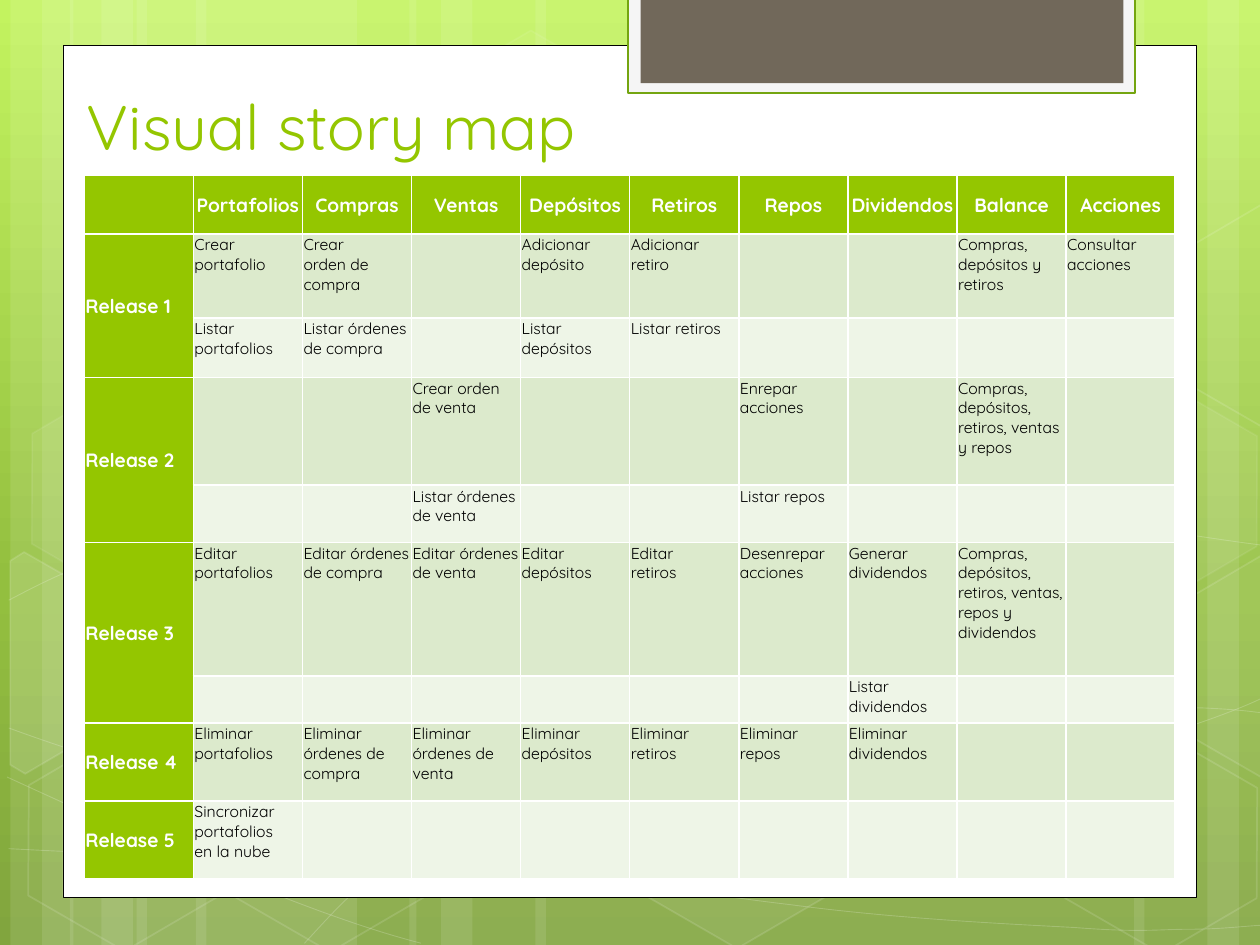
from math import cos, radians, sin

from lxml.etree import SubElement
from pptx import Presentation
from pptx.dml.color import RGBColor
from pptx.enum.shapes import MSO_SHAPE as SHAPE
from pptx.enum.text import MSO_ANCHOR as ANCHOR, PP_ALIGN as ALIGN
from pptx.oxml.ns import qn
from pptx.util import Pt

GREEN, WHITE, BLACK = "94C600", "FFFFFF", "000000"
BANDS = ("DCEACC", "EEF5E7")
TILT = 30


def rgb(value):
    return RGBColor.from_string(value)


def turn_back(point, center):
    """Undo the tilt of a point around a center."""
    dx, dy = point[0] - center[0], point[1] - center[1]
    c, s = cos(radians(TILT)), sin(radians(TILT))
    return center[0] + dx * c + dy * s, center[1] - dx * s + dy * c


class Deck:
    """Holds the style and the current slide."""
    font = "Quicksand"

    def __init__(self, width, height):
        self.prs = Presentation()
        self.prs.slide_width, self.prs.slide_height = Pt(width), Pt(height)
        self.s = self.prs.slides.add_slide(self.prs.slide_layouts[6])

    def background(self, stops):
        fill = self.s.background.fill
        fill.gradient()
        fill.gradient_angle = 270
        gs_list = next(self.s._element.iter(qn("a:gsLst")))
        for gs in list(gs_list):
            gs_list.remove(gs)
        for pos, color in stops:
            gs = SubElement(gs_list, qn("a:gs"), pos=str(pos * 1000))
            SubElement(gs, qn("a:srgbClr"), val=color)

    def style(self, sp, fill=None, fill_alpha=100, line=None, width=1, line_alpha=100):
        sp.shadow.inherit = False
        if fill:
            sp.fill.solid()
            sp.fill.fore_color.rgb = rgb(fill)
        else:
            sp.fill.background()
        if line:
            sp.line.color.rgb = rgb(line)
            sp.line.width = Pt(width)
        else:
            sp.line.fill.background()
        for where, alpha in (("./a:solidFill", fill_alpha), ("./a:ln/a:solidFill", line_alpha)):
            for color in sp._element.spPr.xpath(where + "/a:srgbClr"):
                if alpha < 100:
                    SubElement(color, qn("a:alpha"), val=str(alpha * 1000))

    def shape(self, kind, x, y, w, h, rotation=0, **look):
        sp = self.s.shapes.add_shape(kind, Pt(x), Pt(y), Pt(w), Pt(h))
        sp.rotation = rotation
        self.style(sp, **look)
        return sp

    def outline(self, points, close=False, rotation=0, **look):
        emu = [(Pt(x), Pt(y)) for x, y in points]
        builder = self.s.shapes.build_freeform(*emu[0])
        builder.add_line_segments(emu[1:], close=close)
        sp = builder.convert_to_shape()
        sp.rotation = rotation
        self.style(sp, **look)
        return sp

    def curve(self, points, **look):
        """Turn every three line segments into one cubic segment."""
        sp = self.outline(points, **look)
        track = sp._element.spPr.xpath(".//a:path")[0]
        lines = track.findall(qn("a:lnTo"))
        for i in range(0, len(lines), 3):
            cubic = SubElement(track, qn("a:cubicBezTo"))
            for line in lines[i:i + 3]:
                cubic.append(line[0])
                track.remove(line)

    def format(self, tf, size, color, bold=False, align=ALIGN.LEFT):
        for p in tf.paragraphs:
            p.alignment = align
            for r in p.runs:
                r.font.name, r.font.size, r.font.bold = self.font, Pt(size), bold
                r.font.color.rgb = rgb(color)
            if not p.runs:
                SubElement(p._p, qn("a:endParaRPr"), sz=str(size * 100))

    def title(self, text, x, y, w, h):
        tf = self.s.shapes.add_textbox(Pt(x), Pt(y), Pt(w), Pt(h)).text_frame
        tf.word_wrap = True
        tf.vertical_anchor = ANCHOR.BOTTOM
        tf.text = text
        self.format(tf, 36, GREEN)

    def table(self, rows, heights, x, y, col_width, merges):
        n = len(rows[0])
        table = self.s.shapes.add_table(len(rows), n, Pt(x), Pt(y), Pt(col_width * n),
                                        Pt(sum(heights))).table
        table.first_col = True
        for col in table.columns:
            col.width = Pt(col_width)
        for i, (row, height) in enumerate(zip(rows, heights)):
            table.rows[i].height = Pt(height)
            for j, text in enumerate(row):
                self.cell(table.cell(i, j), text, i, j)
        for i in merges:
            table.cell(i, 0).merge(table.cell(i + 1, 0))

    def cell(self, cell, text, i, j):
        head = i == 0 or j == 0
        cell.text = text
        cell.margin_left = cell.margin_right = cell.margin_top = Pt(0.6)
        cell.margin_bottom = 0
        cell.vertical_anchor = ANCHOR.MIDDLE if head else ANCHOR.TOP
        cell.fill.solid()
        cell.fill.fore_color.rgb = rgb(GREEN if head else BANDS[(i - 1) % 2])
        self.format(cell.text_frame, 11 if head else 9, WHITE if head else BLACK, head,
                    ALIGN.CENTER if i == 0 else ALIGN.LEFT)


STRIPES = [(78, 126), (6, 36), (24, 60), (112, 126), (40, 36), (58, 60),
           (528, 126), (690, 36), (648, 60), (306, 222), (234, 36), (252, 60)]

# Start point, then two control points and an end point per segment
CURVES = [
    [(5, 485), (44, 487), (83, 489), (137, 488), (191, 487), (258, 486), (330, 479),
     (402, 472), (504, 458), (570, 444), (636, 431), (703, 409), (725, 397)],
    [(5, 343), (26, 332), (47, 321), (87, 310), (128, 300), (186, 284), (250, 279),
     (314, 274), (392, 273), (471, 279), (550, 284), (682, 307), (725, 312)],
    [(4, 444), (91, 484), (178, 523), (240.5, 539)],
    [(5, 416), (27, 424), (50, 432), (92, 443.5), (134, 454), (197, 472), (257, 484.5),
     (317, 497), (392, 510), (452, 517), (512, 525), (576, 528), (614, 530),
     (652, 533), (662, 531), (680, 531), (699, 531), (712, 529), (725, 528.5)],
    [(174, 539), (187, 525), (200, 510), (217.5, 497.5), (235, 485), (259, 470), (279, 460),
     (300, 450), (312, 446), (338, 438.5), (364, 431), (413, 421), (438, 416),
     (464, 411), (467, 411), (490, 409.5), (512, 407.5), (547, 405), (572, 404.5),
     (597, 404), (638, 404.5), (638, 404.5), (654, 404.5), (670, 404.5), (686, 404.5),
     (699, 405), (711, 406), (718, 407), (724, 407.5), (722, 407), (724, 407.5)],
]

# x, y, fill opacity (0 for none), line opacity
HEXAGONS = [(240.5, 26, 4, 8), (358, 424, 6, 12), (8, 425.5, 0, 12), (10, 224.5, 7, 8),
            (125.5, 426, 0, 12), (542, 326, 10, 12), (600.5, 427, 0, 12), (600.5, 226, 7, 8)]

LEFT_CUT = [(5.8, 320.4), (13.7, 315.4), (69.1, 347), (68.4, 410.4), (14.4, 442.1), (5.8, 437)]
RIGHT_CUT = [(666.7, 349.2), (720.7, 317.5), (726.5, 321.1), (726.5, 441.4),
             (721.4, 444.2), (666.7, 412.6)]
UPPER_CUT = [(x, y - 200.5) for x, y in RIGHT_CUT]
# Points, center, fill opacity
CUT_HEXAGONS = [(LEFT_CUT, (25.9, 385.2), 10), (RIGHT_CUT, (709.2, 374.4), 4),
                (UPPER_CUT, (709.2, 173.9), 0)]

STORIES = [
    ["", "Portafolios", "Compras", "Ventas", "Depósitos", "Retiros", "Repos",
     "Dividendos", "Balance", "Acciones"],
    ["Release 1", "Crear\nportafolio", "Crear\norden de compra", "", "Adicionar depósito",
     "Adicionar retiro", "", "", "Compras, depósitos y retiros", "Consultar acciones"],
    ["", "Listar\nportafolios", "Listar órdenes de compra", "", "Listar depósitos",
     "Listar retiros", "", "", "", ""],
    ["Release 2", "", "", "Crear orden de venta", "", "", "Enrepar acciones", "",
     "Compras, depósitos, retiros, ventas y repos", ""],
    ["", "", "", "Listar órdenes de venta", "", "", "Listar repos", "", "", ""],
    ["Release 3", "Editar portafolios", "Editar órdenes de compra", "Editar órdenes de venta",
     "Editar depósitos", "Editar\nretiros", "Desenrepar acciones", "Generar dividendos",
     "Compras, depósitos, retiros, ventas, repos y dividendos", ""],
    ["", "", "", "", "", "", "", "Listar dividendos", "", ""],
    ["Release 4", "Eliminar portafolios", "Eliminar órdenes de compra",
     "Eliminar órdenes de venta", "Eliminar depósitos", "Eliminar\nretiros",
     "Eliminar\nrepos", "Eliminar dividendos", "", ""],
    ["Release 5", "Sincronizar portafolios\nen la nube"] + [""] * 8,
]
ROW_HEIGHTS = [33.6, 47.8, 34, 61.7, 32.7, 76.4, 26.7, 44.6, 44.4]


def main():
    deck = Deck(720, 540)

    # Backdrop: gradient, stripes, curves and hexagons
    deck.background([(0, "C3F35F"), (62, "93BF3F"), (100, "81A53E")])
    for x, w in STRIPES:
        deck.shape(SHAPE.RECTANGLE, x, 0, w, 540, fill=WHITE, fill_alpha=10)
    for points in CURVES:
        deck.curve(points, line=WHITE, width=0.5, line_alpha=20)
    for x, y, opacity, line_opacity in HEXAGONS:
        sp = deck.shape(SHAPE.HEXAGON, x, y, 126, 109.5, TILT, fill=WHITE if opacity else None,
                        fill_alpha=opacity, line=WHITE, line_alpha=line_opacity)
        sp.adjustments[0] = 0.285
    for points, center, opacity in CUT_HEXAGONS:
        deck.outline([turn_back(point, center) for point in points], close=True, rotation=TILT,
                     fill=WHITE if opacity else None, fill_alpha=opacity,
                     line=WHITE, line_alpha=12)

    # Page and top tab
    deck.shape(SHAPE.RECTANGLE, 36, 25.9, 648, 487, fill=WHITE, line=BLACK, width=0.5)
    deck.shape(SHAPE.RECTANGLE, 359, -1.5, 289.5, 54.5, fill="F5F5F5", line="74A510", width=1.25)
    deck.shape(SHAPE.RECTANGLE, 366, -1.5, 276, 49, fill="71685A")

    # Title and story map
    deck.title("Visual story map", 42.5, 42.5, 553, 54)
    deck.table(STORIES, ROW_HEIGHTS, 48.2, 100.2, 62.35, merges=(1, 3, 5))

    deck.prs.save("out.pptx")


if __name__ == "__main__":
    main()
